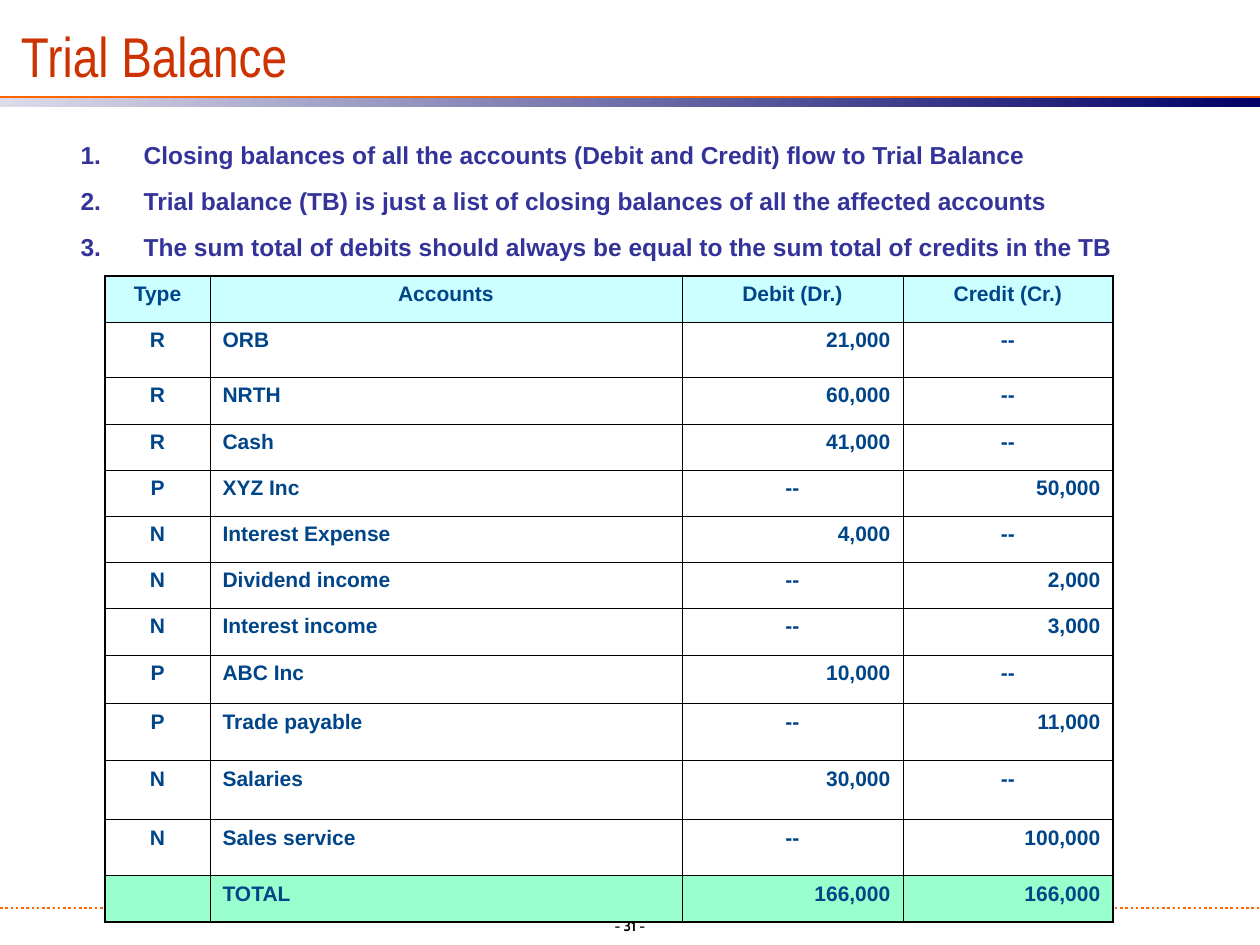
from dataclasses import dataclass
from itertools import accumulate

from lxml.etree import SubElement as Sub
from pptx import Presentation
from pptx.dml.color import RGBColor as Rgb
from pptx.enum.dml import MSO_LINE as Dash
from pptx.enum.shapes import MSO_CONNECTOR as Link, MSO_SHAPE as Shape
from pptx.enum.text import MSO_ANCHOR as Anchor, MSO_AUTO_SIZE as Auto, PP_ALIGN as Align
from pptx.oxml.ns import qn
from pptx.util import Emu, Pt


@dataclass(frozen=True)
class Theme:
    orange: str = "FF6600"
    pale: str = "DBDBE9"
    navy: str = "000066"
    title: str = "CC3300"
    shade: str = "808080"
    list: str = "333399"
    cell: str = "014589"
    head: str = "CCFFFF"
    total: str = "99FFCC"
    black: str = "000000"
    sans: str = "Arial"
    slim: str = "Arial Narrow"
    foot: str = "Cabin"
    title_size: int = 32
    list_size: int = 14
    cell_size: int = 12
    foot_size: int = 8
    rule: float = 1.5
    thin: float = 0.45
    thick: float = 1.08


THEME = Theme()

POINTS = [
    "Closing balances of all the accounts (Debit and Credit) flow to Trial Balance",
    "Trial balance (TB) is just a list of closing balances of all the affected accounts",
    "The sum total of debits should always be equal to the sum total of credits in the TB",
]
NONE = "--"
ROWS = [
    ("Type", "Accounts", "Debit (Dr.)", "Credit (Cr.)"),
    ("R", "ORB", "21,000", NONE),
    ("R", "NRTH", "60,000", NONE),
    ("R", "Cash", "41,000", NONE),
    ("P", "XYZ Inc", NONE, "50,000"),
    ("N", "Interest Expense", "4,000", NONE),
    ("N", "Dividend income", NONE, "2,000"),
    ("N", "Interest income", NONE, "3,000"),
    ("P", "ABC Inc", "10,000", NONE),
    ("P", "Trade payable", NONE, "11,000"),
    ("N", "Salaries", "30,000", NONE),
    ("N", "Sales service", NONE, "100,000"),
    ("", "TOTAL", "166,000", "166,000"),
]
WIDTHS = [105, 472, 221, 210]
HEIGHTS = [46, 55, 47, 46, 46, 46, 46, 47, 49, 57, 59, 56, 46]


def px(n):
    return Emu(round(n * 914400 / 126))


def place(item, box):
    item.left, item.top, item.width, item.height = map(px, box)


def style(para, face, size, tint, bold, align=Align.LEFT):
    para.alignment = align
    for run in para.runs:
        font = run.font
        font.name, font.size, font.bold = face, Pt(size), bold
        font.color.rgb = Rgb.from_string(tint)


def add_rule(slide, left, top, width, dash=None):
    line = slide.shapes.add_connector(
        Link.STRAIGHT, px(left), px(top), px(left + width), px(top))
    line.line.color.rgb = Rgb.from_string(THEME.orange)
    line.line.width = Pt(THEME.rule)
    if dash:
        line.line.dash_style = dash
    Sub(line._element.spPr, qn("a:effectLst"))


# Band under the title: fading bar with a rule on its top edge
def add_band(slide, box):
    left, top, width, height = box
    bar = slide.shapes.add_shape(Shape.RECTANGLE, *map(px, box))
    bar.shadow.inherit = False
    bar.line.fill.background()
    bar.fill.gradient()
    bar.fill.gradient_angle = 0
    for stop, spot, tint in zip(bar.fill.gradient_stops, (0, 1), (THEME.pale, THEME.navy)):
        stop.position = spot
        stop.color.rgb = Rgb.from_string(tint)
    add_rule(slide, left, top - 1, width)


# Footer: dotted rule and page number
def add_foot(slide, box):
    left, top, width, height = box
    add_rule(slide, left, top, width, Dash.ROUND_DOT)
    wide = 262
    note = slide.shapes.add_textbox(
        px(left + (width - wide) / 2), px(top + 3), px(wide), px(height - 3))
    note.text_frame.word_wrap = True
    note.text_frame.text = "- 31 -"
    style(note.text_frame.paragraphs[0], THEME.foot, THEME.foot_size,
          THEME.black, True, Align.CENTER)


# Title with a soft text shadow
def add_title(slide, box):
    title = slide.shapes.title
    place(title, box)
    frame = title.text_frame
    frame.text = "Trial Balance"
    frame.auto_size = Auto.NONE
    frame.vertical_anchor = Anchor.BOTTOM
    frame.margin_left = frame.margin_right = frame.margin_top = frame.margin_bottom = 0
    para = frame.paragraphs[0]
    style(para, THEME.slim, THEME.title_size, THEME.title, False)
    fill = para.runs[0].font._element.find(qn("a:solidFill"))
    glow = fill.makeelement(qn("a:effectLst"))
    fill.addnext(glow)
    cast = Sub(glow, qn("a:outerShdw"), dist="25400", dir="2700000")
    Sub(cast, qn("a:srgbClr"), val=THEME.shade)


# Numbered list
def add_list(slide, box):
    body = slide.placeholders[1]
    place(body, box)
    frame = body.text_frame
    frame.text = "\n".join(POINTS)
    frame.auto_size = Auto.NONE
    for i, para in enumerate(frame.paragraphs):
        props = para._p.get_or_add_pPr()
        props.set("marL", str(px(63)))
        props.set("indent", str(-px(63)))
        Sub(props, qn("a:buAutoNum"), type="arabicPeriod")
        para.space_before = Pt(9.3 if i else 0)
        style(para, THEME.sans, THEME.list_size, THEME.list, True)


def add_edges(cell, sides):
    props = cell._tc.get_or_add_tcPr()
    for side, outer in sides.items():
        width = Pt(THEME.thick if outer else THEME.thin)
        edge = Sub(props, qn(f"a:ln{side}"), w=str(width))
        Sub(Sub(edge, qn("a:solidFill")), qn("a:srgbClr"), val=THEME.black)


def pick_align(row, col, text):
    if row == 0 or col == 0 or text == NONE:
        return Align.CENTER
    return Align.LEFT if col == 1 else Align.RIGHT


# Table of accounts: thick frame, thin grid
def add_grid(slide, left, top):
    size = [*accumulate(WIDTHS)][-1], [*accumulate(HEIGHTS)][-1]
    grid = slide.shapes.add_table(
        len(ROWS), len(WIDTHS), px(left), px(top), *map(px, size)).table
    grid.first_row = grid.horz_banding = False
    for col, width in zip(grid.columns, WIDTHS):
        col.width = px(width)
    for row, height in zip(grid.rows, HEIGHTS):
        row.height = px(height)
    last, end = len(ROWS) - 1, len(WIDTHS) - 1
    fills = {0: THEME.head, last: THEME.total}
    for r, texts in enumerate(ROWS):
        for c, text in enumerate(texts):
            cell = grid.cell(r, c)
            add_edges(cell, {"L": c == 0, "R": c == end, "T": r == 0, "B": r == last})
            if r in fills:
                cell.fill.solid()
                cell.fill.fore_color.rgb = Rgb.from_string(fills[r])
            else:
                cell.fill.background()
            para = cell.text_frame.paragraphs[0]
            para.text = text
            style(para, THEME.sans, THEME.cell_size, THEME.cell, True, pick_align(r, c, text))
            if not text:
                Sub(para._p, qn("a:endParaRPr"), sz=str(THEME.cell_size * 100))


def main():
    deck = Presentation()
    deck.slide_width, deck.slide_height = px(1260), px(945)
    slide = deck.slides.add_slide(deck.slide_layouts[1])
    add_band(slide, (0, 98, 1260, 9))
    add_foot(slide, (0, 908, 1260, 37))
    add_grid(slide, 105, 276)
    add_title(slide, (21, 18, 672, 71))
    add_list(slide, (68, 134, 1095, 132))
    deck.save("out.pptx")


if __name__ == "__main__":
    main()
